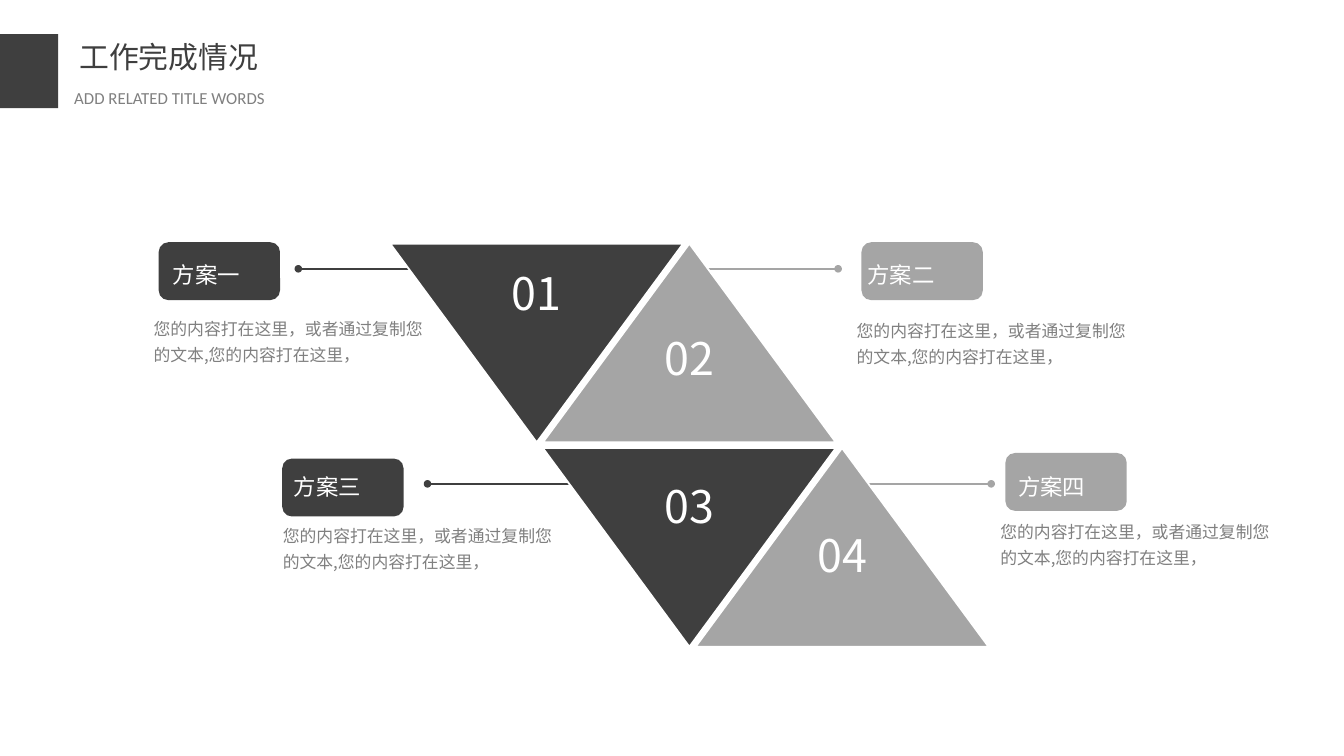
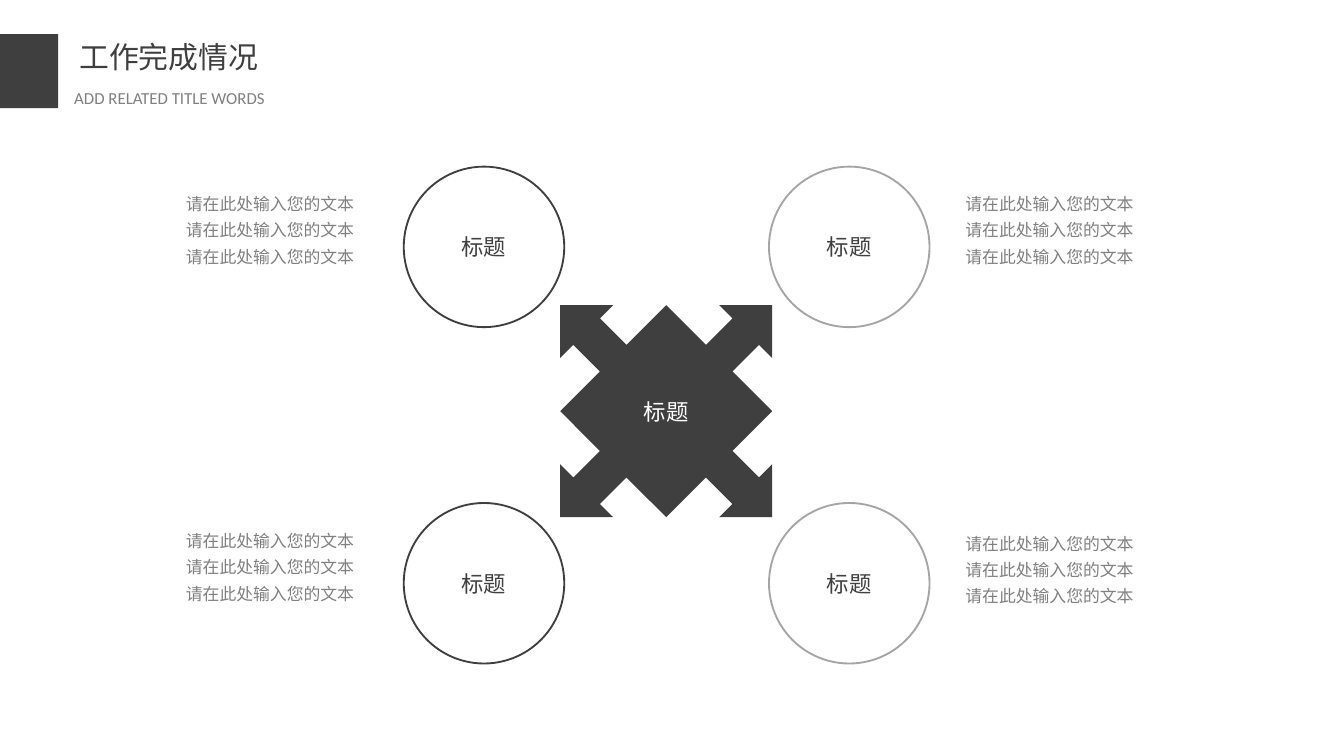
"""Build two slides on work progress: four plans and a hub with four topics."""
from pptx import Presentation
from pptx.dml.color import RGBColor
from pptx.enum.shapes import MSO_CONNECTOR, MSO_SHAPE
from pptx.enum.text import MSO_ANCHOR, MSO_AUTO_SIZE, PP_ALIGN
from pptx.oxml.ns import qn
from pptx.util import Pt
from lxml.etree import SubElement

HUES = {"dark": "3F3F3F", "light": "A5A5A5", "grey": "808080", "ink": "404040", "white": "FFFFFF"}
SANS = "Noto Sans CJK SC"
LEFT, MID, JUST = PP_ALIGN.LEFT, PP_ALIGN.CENTER, PP_ALIGN.JUSTIFY


def draw(slide, kind, box, fill, line=None, width=1):
    shape = slide.shapes.add_shape(kind, *[Pt(n) for n in box])
    shape.shadow.inherit = False
    shape.fill.solid()
    shape.fill.fore_color.rgb = RGBColor.from_string(HUES[fill])
    if line:
        shape.line.color.rgb = RGBColor.from_string(HUES[line])
        shape.line.width = Pt(width)
    else:
        shape.line.fill.background()
    return shape


def write(shape, lines, size, hue, pad=(0, 0), align=LEFT, space=1, anchor=MSO_ANCHOR.TOP, wrap=True, face=SANS):
    frame = shape.text_frame
    frame.text = "\n".join(lines)
    frame.auto_size = MSO_AUTO_SIZE.NONE
    frame.word_wrap = wrap
    frame.vertical_anchor = anchor
    frame.margin_left = frame.margin_right = Pt(pad[0])
    frame.margin_top = frame.margin_bottom = Pt(pad[1])
    for para in frame.paragraphs:
        para.alignment = align
        para.line_spacing = space
        para.space_before = Pt(0)
        para.font.size = Pt(size)
        para.font.color.rgb = RGBColor.from_string(HUES[hue])
        para.font.name = face
        props = para._p.pPr.find(qn("a:defRPr"))
        SubElement(props, qn("a:ea")).set("typeface", face)


deck = Presentation()
deck.slide_width, deck.slide_height = Pt(720), Pt(405)

for _ in range(2):
    slide = deck.slides.add_slide(deck.slide_layouts[5])
    draw(slide, MSO_SHAPE.RECTANGLE, (0, 18.3, 31.2, 39.6), "dark")
    title = slide.shapes.title
    title.left, title.top, title.width, title.height = Pt(36.7), Pt(18), Pt(145), Pt(25)
    write(title, ["工作完成情况"], 16, "dark", (5.8, 2.9), JUST)
    sub = slide.shapes.add_textbox(Pt(34), Pt(44), Pt(160.5), Pt(16.5))
    write(sub, ["ADD RELATED TITLE WORDS"], 9, "grey", (5.8, 2.9), JUST, face="Calibri")

plans, hub = deck.slides

BODY = "您的内容打在这里，或者通过复制您的文本,您的内容打在这里，"
ROWS = [
    ("01", "方案一", "dark", "dark", (209, 130.5), 8.5, (159.8, 144), 81.5, (85, 129.8), (87.3, 132.5), (77, 164.9)),
    ("02", "方案二", "light", "grey", (290.8, 130.5), 43, (449, 144), -81.5, (461.5, 129.8), (459.4, 132.5), (453.6, 165.7)),
    ("03", "方案三", "dark", "grey", (290.8, 240), 13, (229, 259.2), 81.5, (151.2, 245.7), (152.2, 246.4), (146.2, 275.8)),
    ("04", "方案四", "light", "grey", (372.6, 240), 39, (531, 259.2), -81.5, (538.6, 242.7), (540.2, 246.4), (530.6, 273.6)),
]
for num, name, hue, core, (left, top), drop, (x, y), reach, tag, label, note in ROWS:
    wire = plans.shapes.add_connector(MSO_CONNECTOR.STRAIGHT, Pt(x), Pt(y), Pt(x + reach), Pt(y))
    wire.line.color.rgb = RGBColor.from_string(HUES[hue])
    wire.line.width = Pt(1)
    SubElement(wire._element.spPr, qn("a:effectLst"))
    draw(plans, MSO_SHAPE.OVAL, (x - 1, y - 1, 2, 2), core, hue, 2)

    wedge = draw(plans, MSO_SHAPE.ISOSCELES_TRIANGLE, (left, top, 157, 106.5), hue, "white")
    if hue == "dark":
        wedge.rotation = 180
    plate = draw(plans, MSO_SHAPE.RECTANGLE, (left + 57, top + drop, 43, 36), hue)
    write(plate, [num], 24, "white", (7.2, 3.6), MID, wrap=False)

    draw(plans, MSO_SHAPE.ROUNDED_RECTANGLE, (*tag, 65, 31), hue)
    box = plans.shapes.add_textbox(Pt(label[0]), Pt(label[1]), Pt(70), Pt(21.6))
    write(box, [name], 12, "white", (5.3, 0), space=1.5)
    box = plans.shapes.add_textbox(Pt(note[0]), Pt(note[1]), Pt(157), Pt(32.4))
    write(box, [BODY], 9, "grey", (5.3, 2.7), space=1.3)

for x, hue in ((412, "light"), (216.3, "dark")):
    for y in (89.3, 269.5):
        ring = draw(hub, MSO_SHAPE.OVAL, (x, y, 86, 86), "white", hue)
        write(ring, ["标题"], 12, "ink", align=MID, anchor=MSO_ANCHOR.MIDDLE)

side = [(0, -8), (3, -5), (5, -7), (4, -8), (8, -8), (8, -4), (7, -5), (5, -3)]
points = []
for _ in range(4):
    points += side
    side = [(-y, x) for x, y in side]
unit, mid_x, mid_y = 7.1, 356.9, 220.3
spots = [(Pt(mid_x + unit * x), Pt(mid_y + unit * y)) for x, y in points]
pen = hub.shapes.build_freeform(*spots[0])
pen.add_line_segments(spots[1:], close=True)
star = pen.convert_to_shape()
star.shadow.inherit = False
star.fill.solid()
star.fill.fore_color.rgb = RGBColor.from_string(HUES["dark"])
star.line.fill.background()
write(star, ["标题"], 12, "white", align=MID, anchor=MSO_ANCHOR.MIDDLE)

for x, y, width in ((509, 96.5, 157.7), (509, 278.6, 157.7), (91.4, 277, 123.8), (91.4, 96.5, 123.8)):
    box = hub.shapes.add_textbox(Pt(x), Pt(y), Pt(width), Pt(50.4))
    write(box, ["请在此处输入您的文本"] * 3, 9, "grey", (8.2, 4.1), JUST, 1.3)

deck.save("out.pptx")
